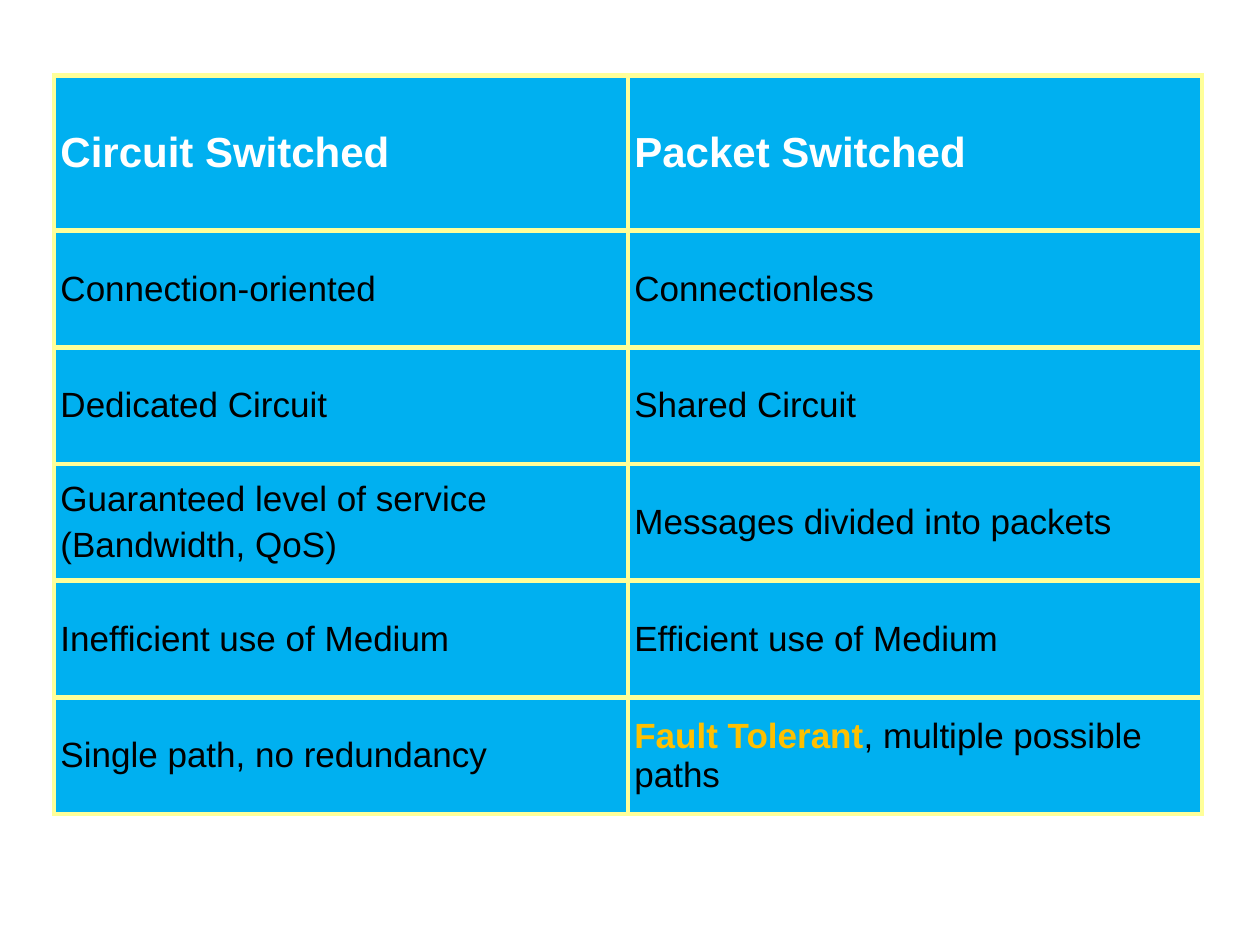
from typing import NamedTuple

from lxml.etree import SubElement
from pptx import Presentation
from pptx.dml.color import RGBColor as RGB
from pptx.enum.text import MSO_ANCHOR as Anchor
from pptx.oxml.ns import qn
from pptx.table import _Cell as Cell
from pptx.util import Inches, Pt

SKY = RGB(0x00, 0xB0, 0xF0)
CREAM = RGB(0xFF, 0xFF, 0x99)
WHITE = RGB(0xFF, 0xFF, 0xFF)
BLACK = RGB(0x00, 0x00, 0x00)
AMBER = RGB(0xFF, 0xC0, 0x00)

SLIDE_W, SLIDE_H = Inches(10), Inches(7.5)
LEFT, TOP, COL_W = 0.043, 0.08, 0.4555
HEAD_H, BODY_H = 0.164, 0.1235
BORDER_W = Pt(3)


class Style(NamedTuple):
    size: int
    color: RGB
    bold: bool


class Span(NamedTuple):
    text: str
    style: Style


HEAD = Style(24, WHITE, True)
BODY = Style(20, BLACK, False)
ACCENT = Style(20, AMBER, True)

Lines = list[list[Span]]


def lines(*texts: str, style: Style = BODY) -> Lines:
    """Turn plain texts into one single-span paragraph each."""
    return [[Span(text, style)] for text in texts]


ROWS: list[tuple[Lines, Lines]] = [
    (lines("Circuit Switched", style=HEAD), lines("Packet Switched", style=HEAD)),
    (lines("Connection-oriented"), lines("Connectionless")),
    (lines("Dedicated Circuit"), lines("Shared Circuit")),
    (lines("Guaranteed level of service", "(Bandwidth, QoS)"),
     lines("Messages divided into packets")),
    (lines("Inefficient use of Medium"), lines("Efficient use of Medium")),
    (lines("Single path, no redundancy"),
     [[Span("Fault Tolerant", ACCENT), Span(", multiple possible paths", BODY)]]),
]

CELL_FORMAT = {
    "vertical_anchor": Anchor.MIDDLE,
    **{f"margin_{side}": Inches(0.05) for side in ("left", "right", "top", "bottom")},
}


def add_borders(cell: Cell) -> None:
    """Draw the four cell borders, placed ahead of the cell fill."""
    tc_pr = cell._tc.get_or_add_tcPr()
    for i, tag in enumerate(("a:lnL", "a:lnR", "a:lnT", "a:lnB")):
        ln = SubElement(tc_pr, qn(tag), w=str(BORDER_W))
        SubElement(SubElement(ln, qn("a:solidFill")), qn("a:srgbClr"), val=str(CREAM))
        tc_pr.insert(i, ln)


def write_cell(cell: Cell, content: Lines) -> None:
    """Format a cell and write its paragraphs."""
    for name, value in CELL_FORMAT.items():
        setattr(cell, name, value)
    cell.fill.solid()
    cell.fill.fore_color.rgb = SKY
    add_borders(cell)
    tf = cell.text_frame
    for i, spans in enumerate(content):
        p = tf.add_paragraph() if i else tf.paragraphs[0]
        p.space_before = Pt(4 if i else 0)
        for span in spans:
            r = p.add_run()
            r.text = span.text
            style = span.style
            font = {"name": "Arial", "size": Pt(style.size), "bold": style.bold}
            for name, value in font.items():
                setattr(r.font, name, value)
            r.font.color.rgb = style.color


def main() -> None:
    """Build the comparison slide."""
    prs = Presentation()
    prs.slide_width, prs.slide_height = SLIDE_W, SLIDE_H
    s = prs.slides.add_slide(prs.slide_layouts[6])
    heights = [HEAD_H] + [BODY_H] * (len(ROWS) - 1)
    table = s.shapes.add_table(
        len(ROWS), 2,
        int(LEFT * SLIDE_W), int(TOP * SLIDE_H),
        int(2 * COL_W * SLIDE_W), int(sum(heights) * SLIDE_H),
    ).table
    table.first_row = table.horz_banding = False
    for col in table.columns:
        col.width = int(COL_W * SLIDE_W)
    for row, height, contents in zip(table.rows, heights, ROWS):
        row.height = int(height * SLIDE_H)
        for cell, content in zip(row.cells, contents):
            write_cell(cell, content)
    prs.save("out.pptx")


if __name__ == "__main__":
    main()
